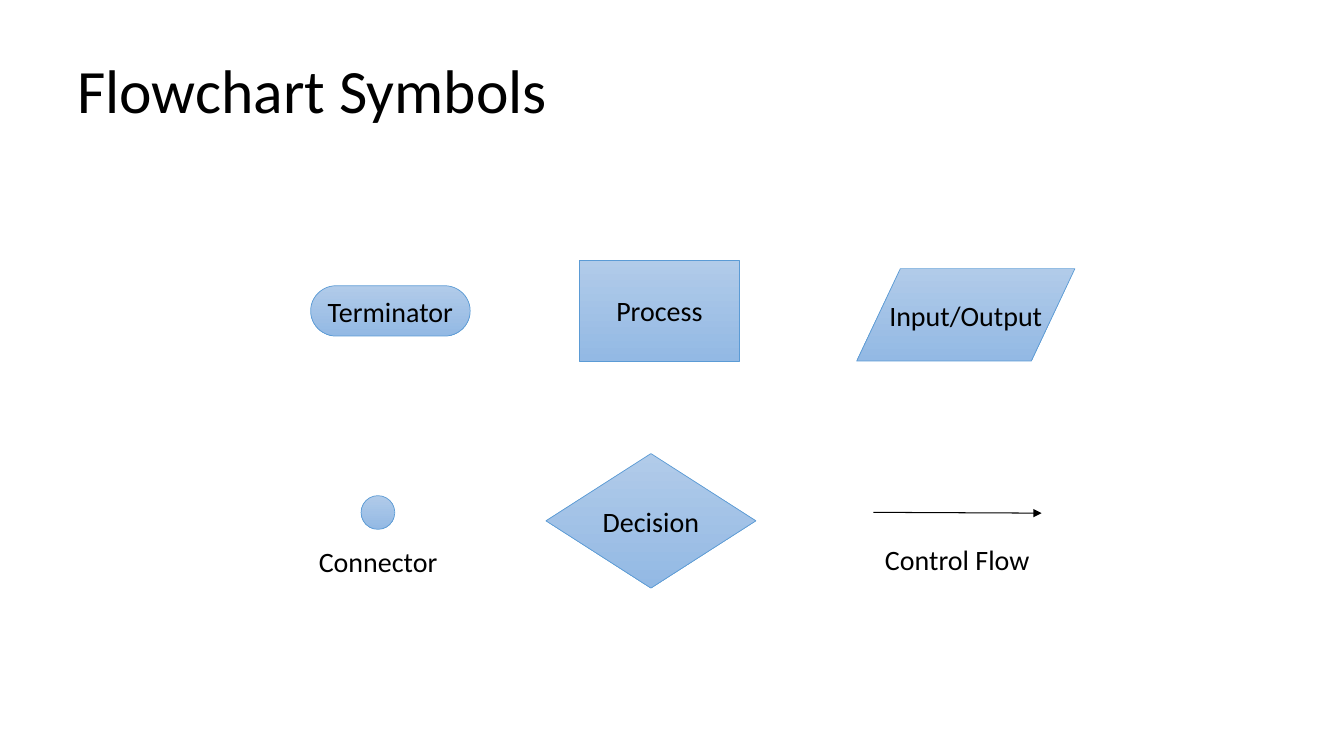
from collections import namedtuple

from lxml.etree import SubElement
from pptx import Presentation
from pptx.dml.color import RGBColor
from pptx.enum.shapes import MSO_CONNECTOR, MSO_SHAPE
from pptx.enum.text import MSO_ANCHOR, PP_ALIGN
from pptx.oxml.ns import qn
from pptx.util import Cm, Pt

Box = namedtuple("Box", "left top width height")

# Kind, wording and place (cm) within the symbol area
SYMBOLS = [
    (MSO_SHAPE.RECTANGLE, "Process", Box(7.41, 0, 4.02, 2.54)),
    (MSO_SHAPE.FLOWCHART_TERMINATOR, "Terminator", Box(0.63, 0.64, 4.02, 1.27)),
    (MSO_SHAPE.FLOWCHART_DATA, "Input/Output", Box(14.39, 0.21, 5.5, 2.33)),
    (MSO_SHAPE.FLOWCHART_CONNECTOR, "", Box(1.9, 5.93, 0.85, 0.85)),
    (MSO_SHAPE.FLOWCHART_DECISION, "Decision", Box(6.56, 4.87, 5.29, 3.39)),
]
CAPTIONS = [
    ("Connector", Box(0, 7.02, 4.66, 1.11)),
    ("Control Flow", Box(14.81, 6.99, 4.23, 1.11)),
]
CONTROL_FLOW = Box(14.81, 6.35, 4.24, 0.02)


def colour(value):
    """Turn a hex string into a colour."""
    return RGBColor.from_string(value)


def within(area, part):
    """Shift a part into its area."""
    return Box(area.left + part.left, area.top + part.top, part.width, part.height)


def lengths(box):
    """Give the four sides of a box as lengths."""
    return [Cm(side) for side in box]


def write(frame, text, size, align, wrap=True):
    """Write one vertically centred paragraph into a text frame."""
    frame.word_wrap = wrap
    frame.vertical_anchor = MSO_ANCHOR.MIDDLE
    para = frame.paragraphs[0]
    para.alignment = align
    span = para.add_run()
    span.text = text
    span.font.name = "Calibri"
    span.font.size = Pt(size)
    span.font.color.rgb = colour("000000")


def add_text(page, box, text, size, align):
    """Add a text box."""
    frame = page.shapes.add_textbox(*lengths(box)).text_frame
    write(frame, text, size, align)


def add_symbol(page, box, kind, text):
    """Add a blue gradient flowchart shape."""
    shape = page.shapes.add_shape(kind, *lengths(box))
    shape.shadow.inherit = False
    shape.fill.gradient()
    shape.fill.gradient_angle = 270
    for stop, value in zip(shape.fill.gradient_stops, ("B1CBE9", "93B9E4")):
        stop.color.rgb = colour(value)
    shape.line.color.rgb = colour("5B9BD5")
    shape.line.width = Pt(0.5)
    if text:
        write(shape.text_frame, text, 20, PP_ALIGN.CENTER, wrap=False)


def add_arrow(page, box):
    """Add a thin arrow from the top left to the bottom right of a box."""
    arrow = page.shapes.add_connector(
        MSO_CONNECTOR.STRAIGHT, Cm(box.left), Cm(box.top),
        Cm(box.left + box.width), Cm(box.top + box.height))
    arrow.line.color.rgb = colour("000000")
    arrow.line.width = Pt(0.74)
    SubElement(arrow.line._get_or_add_ln(), qn("a:tailEnd"), type="triangle")
    SubElement(arrow._element.spPr, qn("a:effectLst"))


def add_symbols(page, area):
    """Place the symbols, the arrow and the captions in their area."""
    for kind, text, part in SYMBOLS:
        add_symbol(page, within(area, part), kind, text)
    add_arrow(page, within(area, CONTROL_FLOW))
    for text, part in CAPTIONS:
        add_text(page, within(area, part), text, 20, PP_ALIGN.CENTER)


def add_title(page, box):
    """Place the slide title."""
    add_text(page, box, "Flowchart Symbols", 44, PP_ALIGN.LEFT)
    page.shapes[-1].text_frame.paragraphs[0].line_spacing = 0.9


def main():
    """Build and save the deck."""
    deck = Presentation()
    deck.slide_width, deck.slide_height = Cm(33.87), Cm(19.05)
    page = deck.slides.add_slide(deck.slide_layouts[6])
    add_title(page, Box(1.7, 0.76, 30.48, 3.18))
    add_symbols(page, Box(7.2, 6.56, 19.89, 8.26))
    deck.save("out.pptx")


main()
